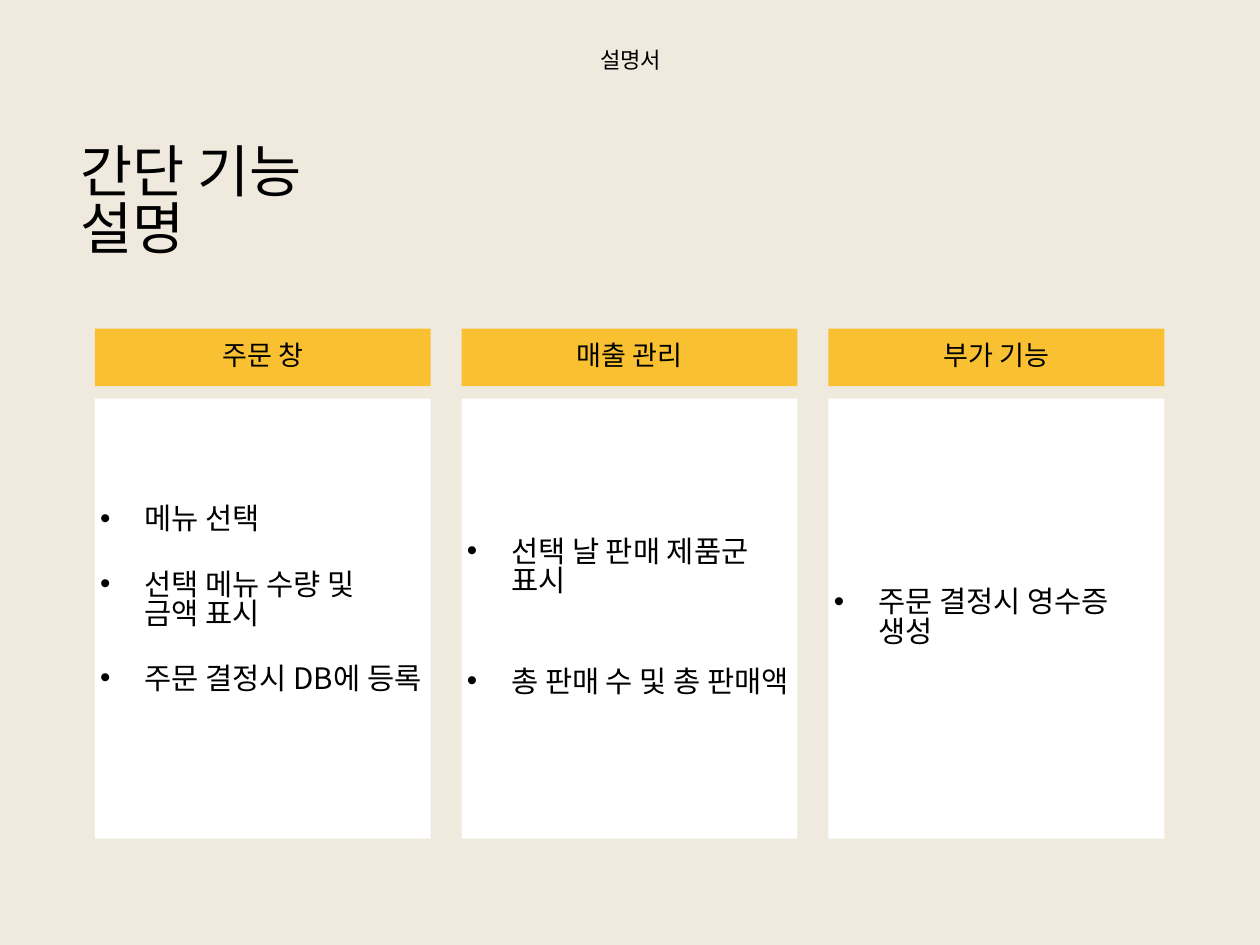
from lxml.etree import SubElement
from pptx import Presentation
from pptx.dml.color import RGBColor
from pptx.enum.shapes import MSO_SHAPE
from pptx.enum.text import MSO_ANCHOR, MSO_AUTO_SIZE, PP_ALIGN
from pptx.oxml.ns import qn
from pptx.util import Inches, Pt

FONT = "Noto Sans CJK KR"
CREAM = RGBColor(0xF0, 0xE9, 0xDE)
YELLOW = RGBColor(0xF9, 0xC0, 0x32)
WHITE = RGBColor(0xFF, 0xFF, 0xFF)
BLACK = RGBColor(0x00, 0x00, 0x00)

INSET = 0.06
INDENT = 0.5
LINE_SPACING = 0.83

# Heading, bullets, gap between bullets (pt), extra room below (in)
FEATURES = [
    ("주문 창", ["메뉴 선택", "선택 메뉴 수량 및 \v금액 표시", "주문 결정시 DB에 등록"], 29, 0.4),
    ("매출 관리", ["선택 날 판매 제품군 표시", "총 판매 수 및 총 판매액"], 58, 0),
    ("부가 기능", ["주문 결정시 영수증 생성"], 0, 0),
]


def add_bullet(paragraph):
    properties = paragraph._p.get_or_add_pPr()
    properties.set("marL", str(Inches(INDENT)))
    properties.set("indent", str(-Inches(INDENT)))
    SubElement(properties, qn("a:buFont"), typeface="Arial")
    SubElement(properties, qn("a:buChar"), char="•")


def write(shape, lines, size, align=PP_ALIGN.LEFT, bullets=False, gap=0,
          room_below=0, tracking=None):
    frame = shape.text_frame
    frame.word_wrap = True
    frame.auto_size = MSO_AUTO_SIZE.NONE
    frame.vertical_anchor = MSO_ANCHOR.MIDDLE
    frame.margin_left = frame.margin_right = frame.margin_top = Inches(INSET)
    frame.margin_bottom = Inches(INSET + room_below)
    for index, line in enumerate(lines):
        paragraph = frame.add_paragraph() if index else frame.paragraphs[0]
        paragraph.text = line
        paragraph.alignment = align
        paragraph.line_spacing = LINE_SPACING
        paragraph.space_before = Pt(gap if index else 0)
        if bullets:
            add_bullet(paragraph)
        for run in paragraph.runs:
            run.font.size = Pt(size)
            run.font.name = FONT
            run.font.color.rgb = BLACK
            properties = run._r.get_or_add_rPr()
            SubElement(properties, qn("a:ea"), typeface=FONT)
            if tracking is not None:
                properties.set("spc", str(round(tracking * 100)))


def add_panel(slide, left, top, width, height, color):
    panel = slide.shapes.add_shape(
        MSO_SHAPE.RECTANGLE, Inches(left), Inches(top), Inches(width), Inches(height))
    panel.shadow.inherit = False
    panel.fill.solid()
    panel.fill.fore_color.rgb = color
    panel.line.fill.background()
    return panel


def add_header(slide, left, top, width, height):
    header = slide.shapes.add_textbox(
        Inches(left), Inches(top), Inches(width), Inches(height))
    write(header, ["설명서"], 18, align=PP_ALIGN.CENTER, tracking=-0.4)


def place_title(slide, left, top, width, height):
    title = slide.shapes.title
    title.left, title.top = Inches(left), Inches(top)
    title.width, title.height = Inches(width), Inches(height)
    write(title, ["간단 기능 설명"], 46)


def add_feature(slide, left, top, width, height, feature):
    heading, bullets, gap, room_below = feature
    heading_height, card_offset = 0.65, 0.79
    banner = add_panel(slide, left, top, width, heading_height, YELLOW)
    write(banner, [heading], 22, align=PP_ALIGN.CENTER)
    card = add_panel(slide, left, top + card_offset, width, height - card_offset, WHITE)
    write(card, bullets, 24, bullets=True, gap=gap, room_below=room_below)


def add_features(slide, left, top, width, height):
    spacing = 0.35
    column_width = (width - spacing * (len(FEATURES) - 1)) / len(FEATURES)
    for index, feature in enumerate(FEATURES):
        column_left = left + index * (column_width + spacing)
        add_feature(slide, column_left, top, column_width, height, feature)


def main():
    presentation = Presentation()
    presentation.slide_width = Inches(14.22)
    presentation.slide_height = Inches(10.67)
    slide = presentation.slides.add_slide(presentation.slide_layouts[5])
    slide.background.fill.solid()
    slide.background.fill.fore_color.rgb = CREAM

    # Header and title
    add_header(slide, 6.34, 0.49, 1.55, 0.42)
    place_title(slide, 0.85, 1.86, 3.56, 0.89)

    # Three feature columns
    add_features(slide, 1.07, 3.71, 12.07, 5.76)

    presentation.save("out.pptx")


if __name__ == "__main__":
    main()
